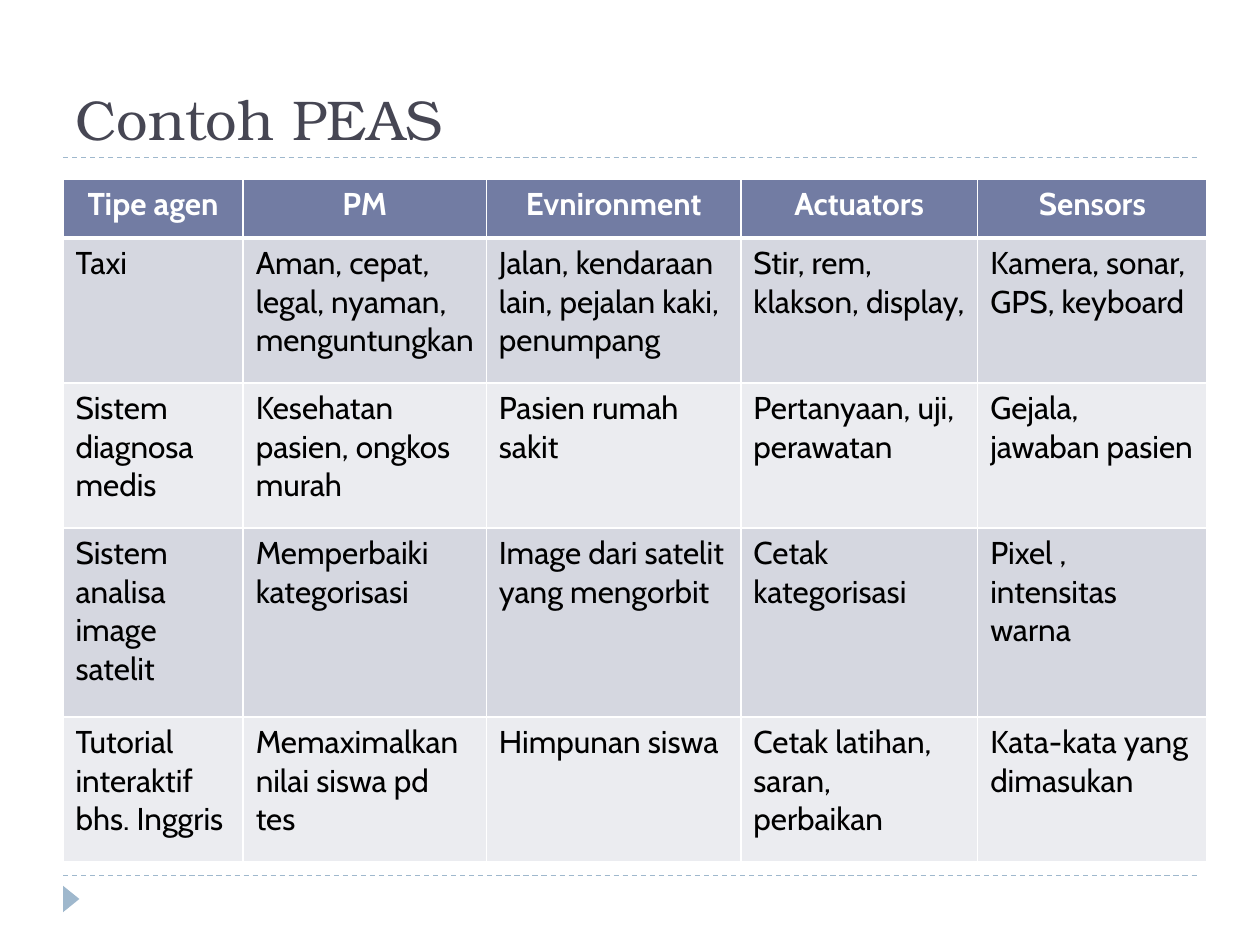
"""Builds the slide with the PEAS table of agent types."""
from dataclasses import dataclass

from lxml.etree import SubElement
from pptx import Presentation
from pptx.dml.color import RGBColor
from pptx.enum.dml import MSO_LINE
from pptx.enum.shapes import MSO_CONNECTOR, MSO_SHAPE
from pptx.enum.text import MSO_ANCHOR, PP_ALIGN
from pptx.oxml.ns import qn
from pptx.util import Inches, Pt


@dataclass(frozen=True)
class Theme:
    title_font: str = "TeX Gyre Bonum"
    body_font: str = "Cabin"
    title_size: int = 32
    body_size: int = 18
    title_color: str = "464653"
    accent: str = "9FB8CD"
    header_fill: str = "727CA3"
    band_fills: tuple = ("D5D7E0", "EBECF0")
    header_text: str = "FFFFFF"
    body_text: str = "000000"
    border: str = "FFFFFF"


THEME = Theme()
COLUMN_WIDTHS = (1.43, 1.93, 2.02, 1.88, 1.82)
ROW_HEIGHTS = (0.47, 1.15, 1.15, 1.5, 1.15)
AGENT_ROWS = (
    ("Tipe agen", "PM", "Evnironment", "Actuators", "Sensors"),
    ("Taxi", "Aman, cepat, legal, nyaman, menguntungkan",
     "Jalan, kendaraan lain, pejalan kaki, penumpang",
     "Stir, rem, klakson, display,", "Kamera, sonar, GPS, keyboard"),
    ("Sistem diagnosa medis", "Kesehatan pasien, ongkos murah",
     "Pasien rumah sakit", "Pertanyaan, uji, perawatan",
     "Gejala, jawaban pasien"),
    ("Sistem analisa image satelit", "Memperbaiki kategorisasi",
     "Image dari satelit yang mengorbit", "Cetak kategorisasi",
     "Pixel , intensitas warna"),
    ("Tutorial interaktif bhs. Inggris", "Memaximalkan nilai siswa pd tes",
     "Himpunan siswa", "Cetak latihan, saran, perbaikan",
     "Kata-kata yang dimasukan"),
)


def add_run(paragraph, text, font_name, size, color, bold=False):
    run = paragraph.add_run()
    run.text = text
    run.font.name = font_name
    run.font.size = Pt(size)
    run.font.bold = bold
    run.font.color.rgb = RGBColor.from_string(color)


def add_title(slide, text):
    box = slide.shapes.add_textbox(Inches(0.5), Inches(0.17), Inches(9), Inches(1.08))
    frame = box.text_frame
    frame.word_wrap = True
    frame.vertical_anchor = MSO_ANCHOR.BOTTOM
    add_run(frame.paragraphs[0], text, THEME.title_font, THEME.title_size, THEME.title_color)


def add_dashed_rule(slide, top):
    rule = slide.shapes.add_connector(
        MSO_CONNECTOR.STRAIGHT, Inches(0.5), Inches(top), Inches(9.5), Inches(top))
    rule.line.color.rgb = RGBColor.from_string(THEME.accent)
    rule.line.width = Pt(0.75)
    rule.line.dash_style = MSO_LINE.DASH
    SubElement(rule._element.spPr, qn("a:effectLst"))


def add_corner_triangle(slide):
    triangle = slide.shapes.add_shape(
        MSO_SHAPE.ISOSCELES_TRIANGLE, Inches(0.46), Inches(7.07), Inches(0.21), Inches(0.13))
    triangle.rotation = 90
    triangle.shadow.inherit = False
    triangle.fill.solid()
    triangle.fill.fore_color.rgb = RGBColor.from_string(THEME.accent)
    triangle.line.fill.background()


def set_borders(cell, widths):
    properties = cell._tc.get_or_add_tcPr()
    for position, (side, width) in enumerate(widths.items()):
        border = properties.makeelement(qn(f"a:{side}"), {"w": str(Pt(width))})
        fill = SubElement(border, qn("a:solidFill"))
        SubElement(fill, qn("a:srgbClr"), val=THEME.border)
        properties.insert(position, border)


def fill_cell(cell, text, row_index):
    is_header = row_index == 0
    fill_color = THEME.header_fill if is_header else THEME.band_fills[(row_index - 1) % 2]
    text_color = THEME.header_text if is_header else THEME.body_text
    cell.fill.solid()
    cell.fill.fore_color.rgb = RGBColor.from_string(fill_color)
    paragraph = cell.text_frame.paragraphs[0]
    paragraph.alignment = PP_ALIGN.CENTER if is_header else PP_ALIGN.LEFT
    add_run(paragraph, text, THEME.body_font, THEME.body_size, text_color, is_header)
    set_borders(cell, {"lnL": 1, "lnR": 1,
                       "lnT": 3 if row_index == 1 else 1,
                       "lnB": 3 if is_header else 1})


def add_agent_table(slide):
    table = slide.shapes.add_table(
        len(ROW_HEIGHTS), len(COLUMN_WIDTHS), Inches(0.5), Inches(1.42),
        Inches(sum(COLUMN_WIDTHS)), Inches(sum(ROW_HEIGHTS))).table
    for column, width in zip(table.columns, COLUMN_WIDTHS):
        column.width = Inches(width)
    for row_index, (row, height) in enumerate(zip(table.rows, ROW_HEIGHTS)):
        row.height = Inches(height)
        for cell, text in zip(row.cells, AGENT_ROWS[row_index]):
            fill_cell(cell, text, row_index)


def main():
    presentation = Presentation()
    presentation.slide_width = Inches(10)
    presentation.slide_height = Inches(7.5)
    slide = presentation.slides.add_slide(presentation.slide_layouts[6])
    for top in (6.95, 1.25):
        add_dashed_rule(slide, top)
    add_corner_triangle(slide)
    add_title(slide, "Contoh PEAS")
    add_agent_table(slide)
    presentation.save("out.pptx")


if __name__ == "__main__":
    main()
